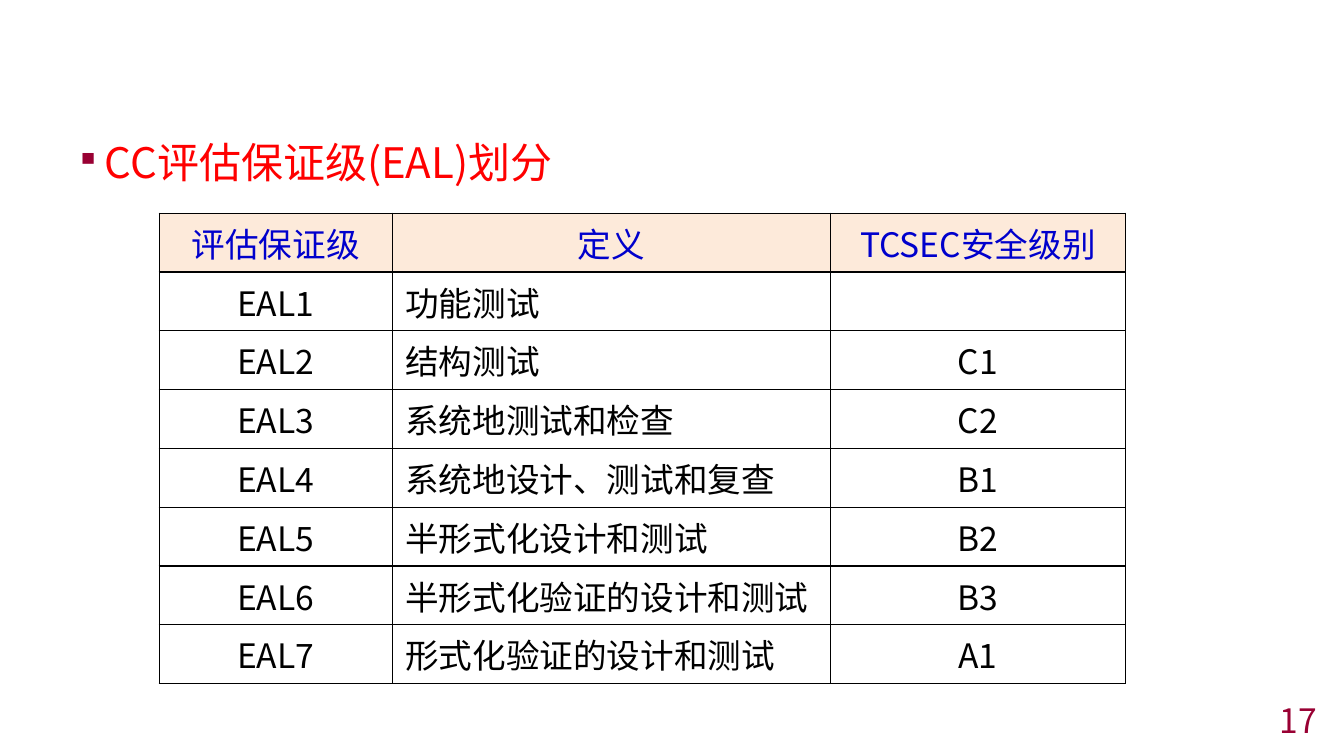
from lxml.etree import SubElement
from pptx import Presentation
from pptx.dml.color import RGBColor
from pptx.enum.text import MSO_ANCHOR, PP_ALIGN
from pptx.oxml import parse_xml
from pptx.oxml.ns import nsdecls, qn
from pptx.util import Inches, Pt

THEME = {
    "font": "Noto Sans CJK SC",
    "heading": (30, "FF0000"),
    "header": (24, "0000CC"),
    "body": (24, "000000"),
    "page": (24, "990033"),
    "header_fill": "FDEADA",
    "bullet": "990033",
    "border": "000000",
}

prs = Presentation()
prs.slide_width, prs.slide_height = Inches(13.33), Inches(7.5)
s = prs.slides.add_slide(prs.slide_layouts[6])


def share(x, y, w, h):
    """Turn percentages of the slide's width and height into lengths."""
    return [int(v * side / 100) for v, side in
            zip((x, y, w, h), (prs.slide_width, prs.slide_height) * 2)]


def write(tf, text, style, align=PP_ALIGN.LEFT):
    p = tf.paragraphs[0]
    p.alignment = align
    r = p.add_run()
    r.text = text
    size, color = THEME[style]
    for name, value in {"size": Pt(size), "name": THEME["font"]}.items():
        setattr(r.font, name, value)
    r.font.color.rgb = RGBColor.from_string(color)
    rPr = r._r.get_or_add_rPr()
    rPr.set("lang", "zh-CN")
    SubElement(rPr, qn("a:ea"), typeface=THEME["font"])
    return p


# Heading with a square bullet
tf = s.shapes.add_textbox(*share(4.88, 16.53, 90.32, 78.8)).text_frame
tf.word_wrap = True
p = write(tf, "CC评估保证级(EAL)划分", "heading")
p.line_spacing = 1.14
pPr = p._p.get_or_add_pPr()
pPr.set("marL", str(Inches(0.29)))
pPr.set("indent", str(-Inches(0.29)))
for bullet in (
    f'<a:buClr {nsdecls("a")}><a:srgbClr val="{THEME["bullet"]}"/></a:buClr>',
    f'<a:buSzPct {nsdecls("a")} val="80000"/>',
    f'<a:buChar {nsdecls("a")} char="▪"/>',
):
    pPr.append(parse_xml(bullet))

# Page number
tf = s.shapes.add_textbox(*share(77.49, 93.2, 21.23, 4.13)).text_frame
tf.word_wrap = True
tf.vertical_anchor = MSO_ANCHOR.MIDDLE
write(tf, "17", "page", PP_ALIGN.RIGHT)

# Table of assurance levels
HEADER = ("评估保证级", "定义", "TCSEC安全级别")
LEVELS = [
    ("功能测试", ""),
    ("结构测试", "C1"),
    ("系统地测试和检查", "C2"),
    ("系统地设计、测试和复查", "B1"),
    ("半形式化设计和测试", "B2"),
    ("半形式化验证的设计和测试", "B3"),
    ("形式化验证的设计和测试", "A1"),
]
rows = [HEADER] + [(f"EAL{n}", *level) for n, level in enumerate(LEVELS, 1)]
COLUMN_SHARES = (17.33, 32.63, 21.91)
ROW_SHARE = 7.78
MARGINS = {"margin_left": 0.13, "margin_right": 0.13,
           "margin_top": 0.05, "margin_bottom": 0.05}

table = s.shapes.add_table(
    len(rows), len(HEADER),
    *share(11.85, 28.2, sum(COLUMN_SHARES), ROW_SHARE * len(rows))).table
for column, width in zip(table.columns, COLUMN_SHARES):
    column.width = int(prs.slide_width * width / 100)

for i, row in enumerate(rows):
    table.rows[i].height = int(prs.slide_height * ROW_SHARE / 100)
    for j, text in enumerate(row):
        cell = table.cell(i, j)
        for name, value in MARGINS.items():
            setattr(cell, name, Inches(value))
        tcPr = cell._tc.get_or_add_tcPr()
        for side in "LRTB":
            tcPr.append(parse_xml(
                f'<a:ln{side} {nsdecls("a")} w="{Pt(1)}"><a:solidFill>'
                f'<a:srgbClr val="{THEME["border"]}"/></a:solidFill></a:ln{side}>'))
        if i == 0:
            cell.fill.solid()
            cell.fill.fore_color.rgb = RGBColor.from_string(THEME["header_fill"])
        else:
            cell.fill.background()
        if text:
            left = i > 0 and j == 1
            write(cell.text_frame, text, "body" if i else "header",
                  PP_ALIGN.LEFT if left else PP_ALIGN.CENTER)

prs.save("out.pptx")
